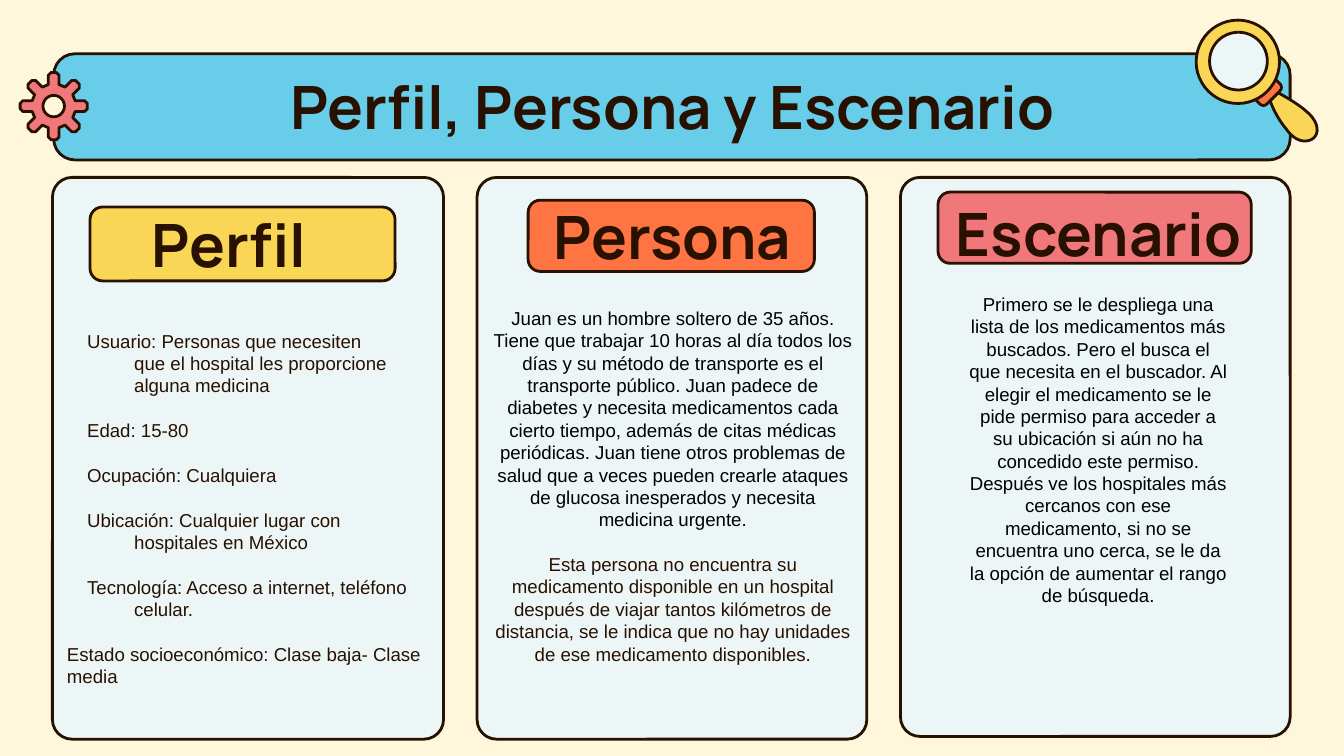
from dataclasses import dataclass
from math import cos, pi, sin
from typing import NamedTuple

from pptx import Presentation
from pptx.dml.color import RGBColor
from pptx.enum.shapes import MSO_SHAPE as Preset
from pptx.enum.text import MSO_ANCHOR as Anchor, PP_ALIGN as Align
from pptx.shapes.autoshape import Shape
from pptx.slide import Slide
from pptx.util import Inches, Pt


@dataclass(frozen=True)
class Theme:
    cream: str = "FFF7DC"
    ink: str = "281101"
    black: str = "000000"
    blue: str = "68CDE9"
    pale: str = "EDF6F7"
    yellow: str = "F9D656"
    orange: str = "FE7443"
    pink: str = "F0787A"
    title_font: str = "Manrope"
    body_font: str = "Arial"
    title_size: int = 32
    body_size: int = 10
    line_pitch: int = 12
    outline: float = 1.5


THEME = Theme()


class Box(NamedTuple):
    left: float
    top: float
    width: float
    height: float

    def lengths(self) -> list[int]:
        return [Inches(value) for value in self]


class Point(NamedTuple):
    x: float
    y: float


class Entry(NamedTuple):
    text: str
    color: str = THEME.ink
    hanging: bool = False


@dataclass(frozen=True)
class Column:
    heading: str
    color: str
    card: Box
    label: Box
    heading_box: Box
    body_box: Box
    align: Align
    entries: list[Entry]


def keep_together(words: str) -> str:
    """Join words with no-break spaces so that they share a line."""
    return words.replace(" ", chr(160))


COLUMNS = [
    Column(
        "Perfil", THEME.yellow,
        Box(0.39, 1.32, 2.91, 4.18), Box(0.67, 1.54, 2.27, 0.55),
        Box(0.75, 1.68, 1.91, 0.27), Box(0.4, 2.22, 2.89, 3.13), Align.LEFT,
        [
            Entry("Usuario: Personas que necesiten "
                  + keep_together("que el hospital les proporcione") + " alguna medicina",
                  hanging=True),
            Entry("Edad: 15-80", hanging=True),
            Entry("Ocupación: Cualquiera", hanging=True),
            Entry("Ubicación: Cualquier lugar con hospitales en México", hanging=True),
            Entry("Tecnología: Acceso a internet, teléfono celular.", hanging=True),
            Entry("Estado socioeconómico: Clase baja- Clase media"),
        ],
    ),
    Column(
        "Persona", THEME.orange,
        Box(3.55, 1.32, 2.9, 4.18), Box(3.93, 1.49, 2.13, 0.53),
        Box(3.94, 1.61, 2.13, 0.28), Box(3.55, 2.46, 2.91, 2.31), Align.CENTER,
        [
            Entry("Juan es un hombre soltero de 35 años. Tiene que trabajar 10 horas al día todos los "
                  "días y su método de transporte es el transporte público. Juan padece de diabetes y "
                  "necesita medicamentos cada cierto tiempo, además de citas médicas periódicas. Juan "
                  "tiene otros problemas de salud que a veces pueden crearle ataques de glucosa "
                  "inesperados y necesita medicina urgente.", THEME.black),
            Entry("Esta persona no encuentra su medicamento disponible en un hospital después de "
                  "viajar tantos kilómetros de distancia, se le indica que no hay unidades de ese "
                  "medicamento disponibles."),
        ],
    ),
    Column(
        "Escenario", THEME.pink,
        Box(6.7, 1.32, 2.9, 4.16), Box(6.98, 1.43, 2.33, 0.53),
        Box(6.92, 1.44, 2.51, 0.58), Box(7.11, 2.1, 2.12, 2.49), Align.CENTER,
        [
            Entry("Primero se le despliega una lista de los medicamentos más buscados. Pero el busca "
                  "el que necesita en el buscador. Al elegir el medicamento se le pide permiso para "
                  "acceder a su ubicación si aún no ha concedido este permiso. Después ve los "
                  "hospitales más cercanos con ese medicamento, si no se encuentra uno cerca, se le "
                  "da la opción de aumentar el rango de búsqueda.", THEME.black),
        ],
    ),
]

# Each step holds one point for a straight line, or three for a cubic curve.
HANDLE = [
    [Point(9.51, 0.69)], [Point(9.45, 0.75)],
    [Point(9.48, 0.83), Point(9.52, 0.9), Point(9.57, 0.96)],
    [Point(9.62, 1.03), Point(9.67, 1.05), Point(9.71, 1.05)],
    [Point(9.81, 1.05), Point(9.85, 0.93), Point(9.71, 0.82)],
    [Point(9.65, 0.77), Point(9.58, 0.73), Point(9.51, 0.69)],
]
COLLAR = [
    [Point(9.49, 0.59)], [Point(9.34, 0.74)], [Point(9.37, 0.77)],
    [Point(9.39, 0.79), Point(9.41, 0.79), Point(9.43, 0.77)],
    [Point(9.52, 0.68)],
    [Point(9.54, 0.66), Point(9.54, 0.64), Point(9.52, 0.62)],
]
GEAR_CENTER = Point(0.4, 0.79)
GEAR_TOOTH = [Point(-0.04, 0.16), Point(-0.04, 0.23), Point(-0.02, 0.25),
              Point(0.02, 0.25), Point(0.04, 0.23), Point(0.04, 0.16)]
GEAR_TEETH = 8


def paint(shape: Shape, color: str) -> None:
    shape.shadow.inherit = False
    shape.fill.solid()
    shape.fill.fore_color.rgb = RGBColor.from_string(color)
    shape.line.color.rgb = RGBColor.from_string(THEME.ink)
    shape.line.width = Pt(THEME.outline)


def draw_preset(slide: Slide, preset: Preset, box: Box, color: str, corner: float | None = None) -> None:
    shape = slide.shapes.add_shape(preset, *box.lengths())
    if corner is not None:
        shape.adjustments[0] = corner
    paint(shape, color)


def draw_outline(slide: Slide, points: list[Point], color: str) -> None:
    corners = [(Inches(x), Inches(y)) for x, y in points]
    builder = slide.shapes.build_freeform(*corners[0], scale=1.0)
    builder.add_line_segments(corners[1:], close=True)
    paint(builder.convert_to_shape(), color)


def flatten(steps: list[list[Point]], pieces: int = 12) -> list[Point]:
    """Turn lines and cubic curves into a run of points."""
    points = []
    for step in steps:
        if len(step) == 1:
            points += step
            continue
        curve = [points[-1], *step]
        for piece in range(1, pieces + 1):
            t = piece / pieces
            weights = [(1 - t) ** 3, 3 * t * (1 - t) ** 2, 3 * t ** 2 * (1 - t), t ** 3]
            points.append(Point(sum(w * p.x for w, p in zip(weights, curve)),
                                sum(w * p.y for w, p in zip(weights, curve))))
    return points


def gear_points() -> list[Point]:
    angles = [2 * pi * tooth / GEAR_TEETH for tooth in range(GEAR_TEETH)]
    return [Point(GEAR_CENTER.x + x * cos(a) + y * sin(a), GEAR_CENTER.y + x * sin(a) - y * cos(a))
            for a in angles for x, y in GEAR_TOOTH]


def draw_text(slide: Slide, box: Box, entries: list[Entry], align: Align,
              anchor: Anchor = Anchor.MIDDLE, heading: bool = False) -> None:
    frame = slide.shapes.add_textbox(*box.lengths()).text_frame
    margins = {f"margin_{side}": Inches(0.1) for side in ("left", "top", "right", "bottom")}
    for name, value in {"word_wrap": True, "vertical_anchor": anchor, **margins}.items():
        setattr(frame, name, value)
    font_format = {
        "name": THEME.title_font if heading else THEME.body_font,
        "size": Pt(THEME.title_size if heading else THEME.body_size),
        "bold": heading,
    }
    for index, entry in enumerate(entries):
        paragraph = frame.paragraphs[0] if index == 0 else frame.add_paragraph()
        paragraph.text = entry.text
        paragraph.alignment = align
        if not heading:
            paragraph.line_spacing = Pt(THEME.line_pitch)
            paragraph.space_before = Pt(THEME.line_pitch if index else 0)
        if entry.hanging:
            properties = paragraph._p.get_or_add_pPr()
            properties.set("marL", str(Inches(0.5)))
            properties.set("indent", str(Inches(-0.35)))
        for run in paragraph.runs:
            for name, value in font_format.items():
                setattr(run.font, name, value)
            run.font.color.rgb = RGBColor.from_string(entry.color)


def draw_magnifier(slide: Slide) -> None:
    draw_outline(slide, flatten(HANDLE), THEME.yellow)
    draw_outline(slide, flatten(COLLAR), THEME.orange)
    draw_preset(slide, Preset.OVAL, Box(8.9, 0.15, 0.62, 0.62), THEME.yellow)
    draw_preset(slide, Preset.OVAL, Box(9, 0.24, 0.43, 0.43), THEME.pale)


def draw_gear(slide: Slide) -> None:
    draw_outline(slide, gear_points(), THEME.pink)
    draw_preset(slide, Preset.OVAL, Box(0.32, 0.71, 0.16, 0.16), THEME.cream)


def draw_column(slide: Slide, column: Column) -> None:
    draw_preset(slide, Preset.ROUNDED_RECTANGLE, column.card, THEME.pale, 0.05)
    draw_preset(slide, Preset.ROUNDED_RECTANGLE, column.label, column.color, 0.17)
    draw_text(slide, column.heading_box, [Entry(column.heading)], Align.CENTER, heading=True)
    draw_text(slide, column.body_box, column.entries, column.align)


def main() -> None:
    presentation = Presentation()
    presentation.slide_width = Inches(10)
    presentation.slide_height = Inches(10 * 9 / 16)
    slide = presentation.slides.add_slide(presentation.slide_layouts[6])
    slide.background.fill.solid()
    slide.background.fill.fore_color.rgb = RGBColor.from_string(THEME.cream)

    draw_preset(slide, Preset.ROUNDED_RECTANGLE, Box(0.4, 0.4, 9.2, 0.79), THEME.blue, 0.2)
    draw_magnifier(slide)
    draw_gear(slide)
    draw_text(slide, Box(0.79, 0.42, 8.43, 0.65), [Entry("Perfil, Persona y Escenario")],
              Align.CENTER, Anchor.TOP, heading=True)
    for column in COLUMNS:
        draw_column(slide, column)
    presentation.save("out.pptx")


if __name__ == "__main__":
    main()
